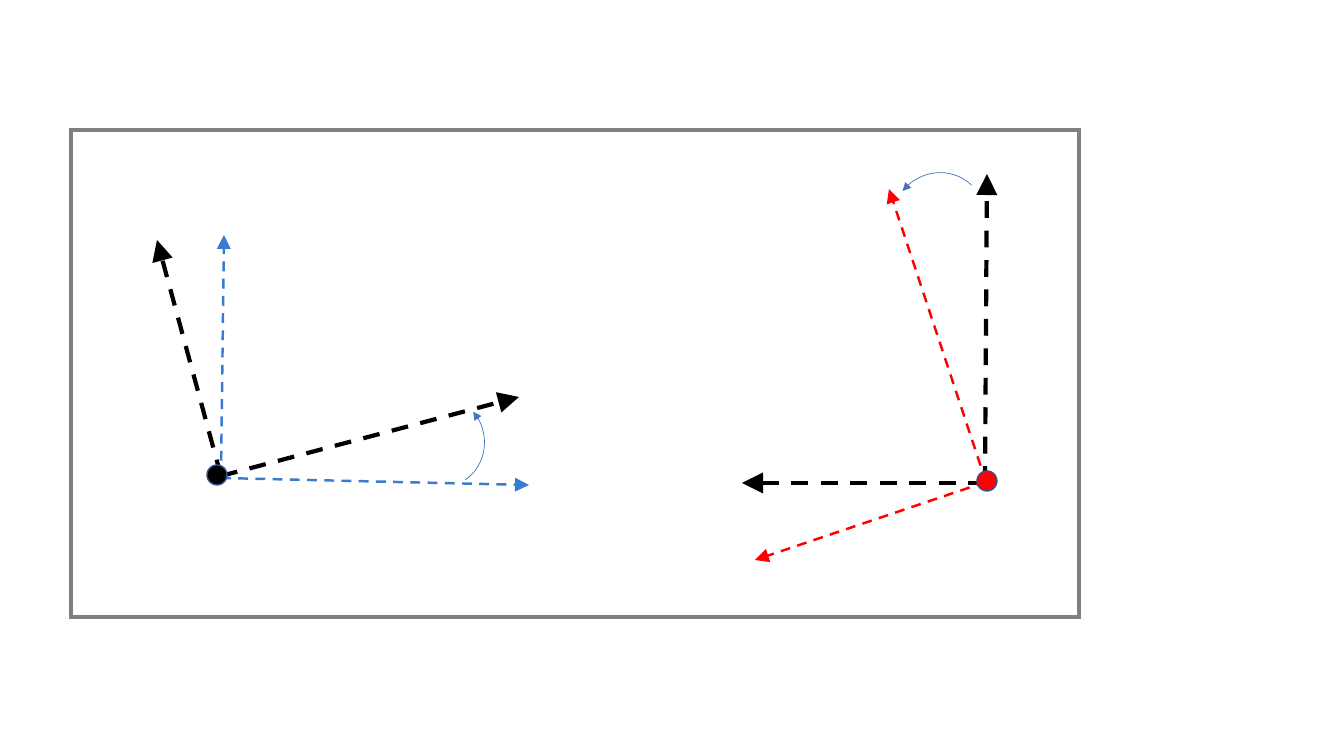
from pptx import Presentation
from pptx.dml.color import RGBColor
from pptx.enum.dml import MSO_LINE
from pptx.enum.shapes import MSO_CONNECTOR, MSO_SHAPE
from pptx.oxml.ns import qn
from pptx.util import Pt
from lxml.etree import SubElement

# Content, in px: axes are (origin, tips, colour, width in points)
SLIDE_SIZE = (1344, 756)
BORDER = (71, 130, 1008, 487)
FRAMES = [
    {
        "axes": [
            ((221, 476), [(519, 397), (157, 240)], "000000", 3),
            ((221, 478), [(529, 485), (224, 235)], "387BD0", 1.75),
        ],
        "arc": (390, 395, 95, 93),
        "rotation": 44.5,
        "dot": (207, 465, 20, 20),
        "dot_colour": "000000",
    },
    {
        "axes": [
            ((985, 483), [(987, 174), (742, 483)], "000000", 3),
            ((986, 482), [(889, 189), (755, 560)], "FF0000", 1.75),
        ],
        "arc": (890, 174, 97, 93),
        "rotation": 303.7,
        "dot": (977, 471, 20, 20),
        "dot_colour": "FF0000",
    },
]
ARC_ADJUSTMENTS = (165.39, 5.72)
EMU_PER_PX = 914400 / 100.8


def px(*lengths):
    return [round(length * EMU_PER_PX) for length in lengths]


def colour(hex_string):
    return RGBColor.from_string(hex_string)


def set_line(shape, line_colour, width):
    shape.line.color.rgb = colour(line_colour)
    shape.line.width = Pt(width)


def add_line_part(shape, tag, **attributes):
    SubElement(shape.line._get_or_add_ln(), qn(f"a:{tag}"), **attributes)


def add_outline(shapes, kind, box, line_colour, width, fill=None):
    shape = shapes.add_shape(kind, *px(*box))
    shape.shadow.inherit = False
    set_line(shape, line_colour, width)
    add_line_part(shape, "miter", lim="800000")
    if fill:
        shape.fill.solid()
        shape.fill.fore_color.rgb = colour(fill)
    else:
        shape.fill.background()
    return shape


def add_axis(shapes, origin, tip, line_colour, width):
    axis = shapes.add_connector(MSO_CONNECTOR.STRAIGHT, *px(*origin, *tip))
    set_line(axis, line_colour, width)
    axis.line.dash_style = MSO_LINE.DASH
    add_line_part(axis, "tailEnd", type="triangle", w="lg", len="lg")
    SubElement(axis._element.spPr, qn("a:effectLst"))


def add_frame(shapes, frame):
    for origin, tips, line_colour, width in frame["axes"]:
        for tip in tips:
            add_axis(shapes, origin, tip, line_colour, width)

    # Rotation arc, with its arrowhead at the start
    arc = add_outline(shapes, MSO_SHAPE.ARC, frame["arc"], "4472C4", 0.5)
    for index, value in enumerate(ARC_ADJUSTMENTS):
        arc.adjustments[index] = value
    arc.rotation = frame["rotation"]
    add_line_part(arc, "headEnd", type="triangle")

    # Origin dot
    add_outline(shapes, MSO_SHAPE.OVAL, frame["dot"], "325491", 1, fill=frame["dot_colour"])


def main():
    presentation = Presentation()
    presentation.slide_width, presentation.slide_height = px(*SLIDE_SIZE)
    slide = presentation.slides.add_slide(presentation.slide_layouts[6])
    for frame in FRAMES:
        add_frame(slide.shapes, frame)
    add_outline(slide.shapes, MSO_SHAPE.RECTANGLE, BORDER, "808080", 3.25)
    presentation.save("out.pptx")


if __name__ == "__main__":
    main()
